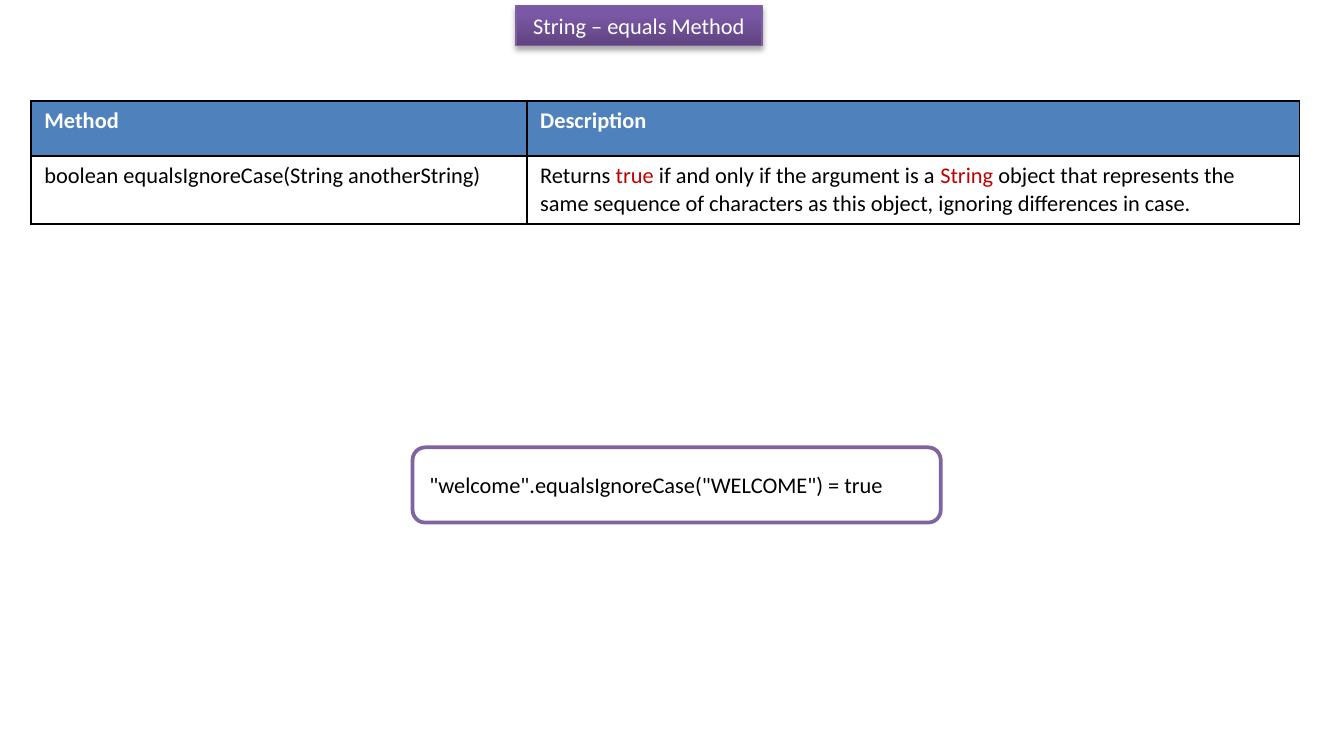
from copy import deepcopy

from lxml import etree
from pptx import Presentation
from pptx.dml.color import RGBColor
from pptx.enum import shapes, text
from pptx.oxml import ns
from pptx.util import Inches, Pt

COLOURS = {
    "white": "FFFFFF",
    "black": "000000",
    "keyword": "C00000",
    "header": "4F81BD",
    "example_line": "8064A2",
    "title_line": "7D60A0",
    "title_dark": "5F4480",
    "title_middle": "7B58A6",
    "title_light": "7C57A8",
}
METHOD_ROWS = [
    [[("Method", "white")], [("Description", "white")]],
    [
        [("boolean equalsIgnoreCase(String anotherString)", "black")],
        [
            ("Returns ", "black"),
            ("true", "keyword"),
            (" if and only if the argument is a ", "black"),
            ("String", "keyword"),
            (" object that represents the same sequence of characters "
             "as this object, ignoring differences in case.", "black"),
        ],
    ],
]


def colour(name):
    return RGBColor.from_string(COLOURS[name])


def add_spans(para, spans, bold=False):
    for words, name in spans:
        span = para.add_run()
        span.text = words
        span.font.name = "Calibri"
        span.font.size = Pt(12)
        span.font.bold = bold
        span.font.color.rgb = colour(name)


def set_outline(box, name, width):
    box.line.color.rgb = colour(name)
    box.line.width = Pt(width)


def add_child(parent, tag, **attributes):
    return etree.SubElement(parent, ns.qn(tag), attributes)


def add_gradient(box, stops, angle):
    box.fill.gradient()
    box.fill.gradient_angle = angle
    stop_list = box._element.spPr.find(".//" + ns.qn("a:gsLst"))
    stop_list.append(deepcopy(stop_list[-1]))
    for stop, (position, name) in zip(box.fill.gradient_stops, stops):
        stop.position = position
        stop.color.rgb = colour(name)


def add_shadow(box):
    effects = add_child(box._element.spPr, "a:effectLst")
    shadow = add_child(effects, "a:outerShdw", blurRad=str(Pt(3.1)),
                       dist=str(Pt(1.8)), dir="5400000", rotWithShape="0")
    tint = add_child(shadow, "a:srgbClr", val=COLOURS["black"])
    add_child(tint, "a:alpha", val="35000")


def add_title(page, left, top, width, height):
    box = page.shapes.title
    box.left, box.top, box.width, box.height = left, top, width, height
    add_gradient(box, [(0, "title_dark"), (0.8, "title_middle"), (1, "title_light")], 90)
    set_outline(box, "title_line", 0.75)
    add_shadow(box)
    frame = box.text_frame
    frame.word_wrap = True
    frame.auto_size = text.MSO_AUTO_SIZE.NONE
    frame.vertical_anchor = text.MSO_ANCHOR.TOP
    para = frame.paragraphs[0]
    para.alignment = text.PP_ALIGN.CENTER
    add_spans(para, [("String – equals Method", "white")])


def add_borders(cell):
    properties = cell._tc.get_or_add_tcPr()
    for side in ("a:lnL", "a:lnR", "a:lnT", "a:lnB"):
        line = add_child(properties, side, w=str(Pt(1)))
        fill = add_child(line, "a:solidFill")
        add_child(fill, "a:srgbClr", val=COLOURS["black"])


def add_method_table(page, left, top, width, height):
    table = page.shapes.add_table(2, 2, left, top, width, height).table
    first_width, header_height = Inches(3.69), Inches(0.41)
    table.columns[0].width = first_width
    table.columns[1].width = width - first_width
    table.rows[0].height = header_height
    table.rows[1].height = height - header_height
    for row, entries in enumerate(METHOD_ROWS):
        for column, spans in enumerate(entries):
            cell = table.cell(row, column)
            add_borders(cell)
            cell.fill.solid()
            cell.fill.fore_color.rgb = colour("white" if row else "header")
            add_spans(cell.text_frame.paragraphs[0], spans, bold=row == 0)


def add_example(page, left, top, width, height):
    box = page.shapes.add_shape(
        shapes.MSO_SHAPE.ROUNDED_RECTANGLE, left, top, width, height)
    box.shadow.inherit = False
    box.fill.solid()
    box.fill.fore_color.rgb = colour("white")
    set_outline(box, "example_line", 2)
    frame = box.text_frame
    frame.word_wrap = True
    frame.vertical_anchor = text.MSO_ANCHOR.MIDDLE
    para = frame.paragraphs[0]
    para.alignment = text.PP_ALIGN.LEFT
    add_spans(para, [('"welcome".equalsIgnoreCase("WELCOME") = true', "black")])


def main():
    deck = Presentation()
    deck.slide_width, deck.slide_height = Inches(10), Inches(5.5)
    page = deck.slides.add_slide(deck.slide_layouts.get_by_name("Title Only"))
    add_title(page, Inches(3.84), Inches(0.04), Inches(1.83), Inches(0.3))
    add_method_table(page, Inches(0.23), Inches(0.75), Inches(9.44), Inches(0.91))
    add_example(page, Inches(3.07), Inches(3.33), Inches(3.93), Inches(0.56))
    deck.save("out.pptx")


if __name__ == "__main__":
    main()
